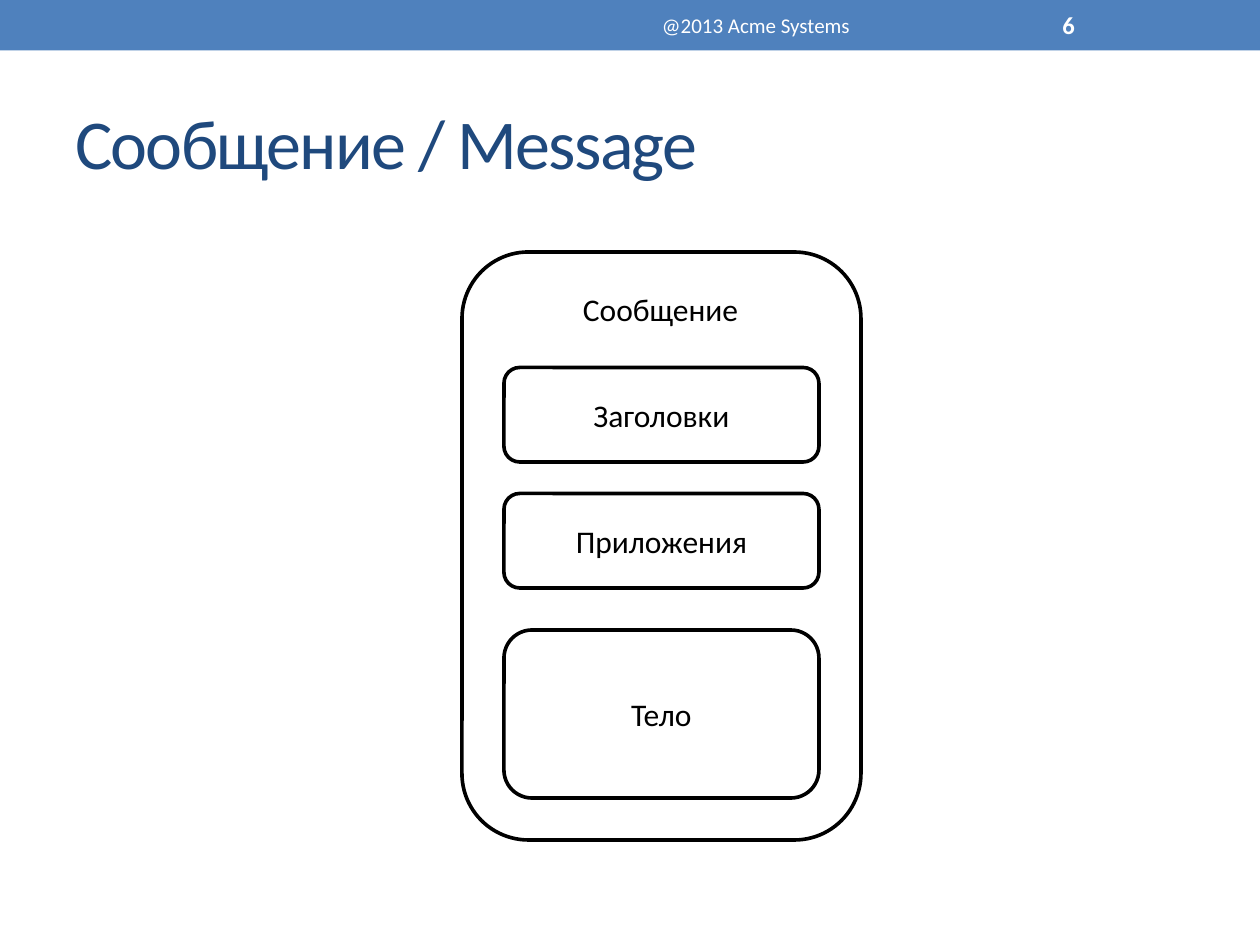
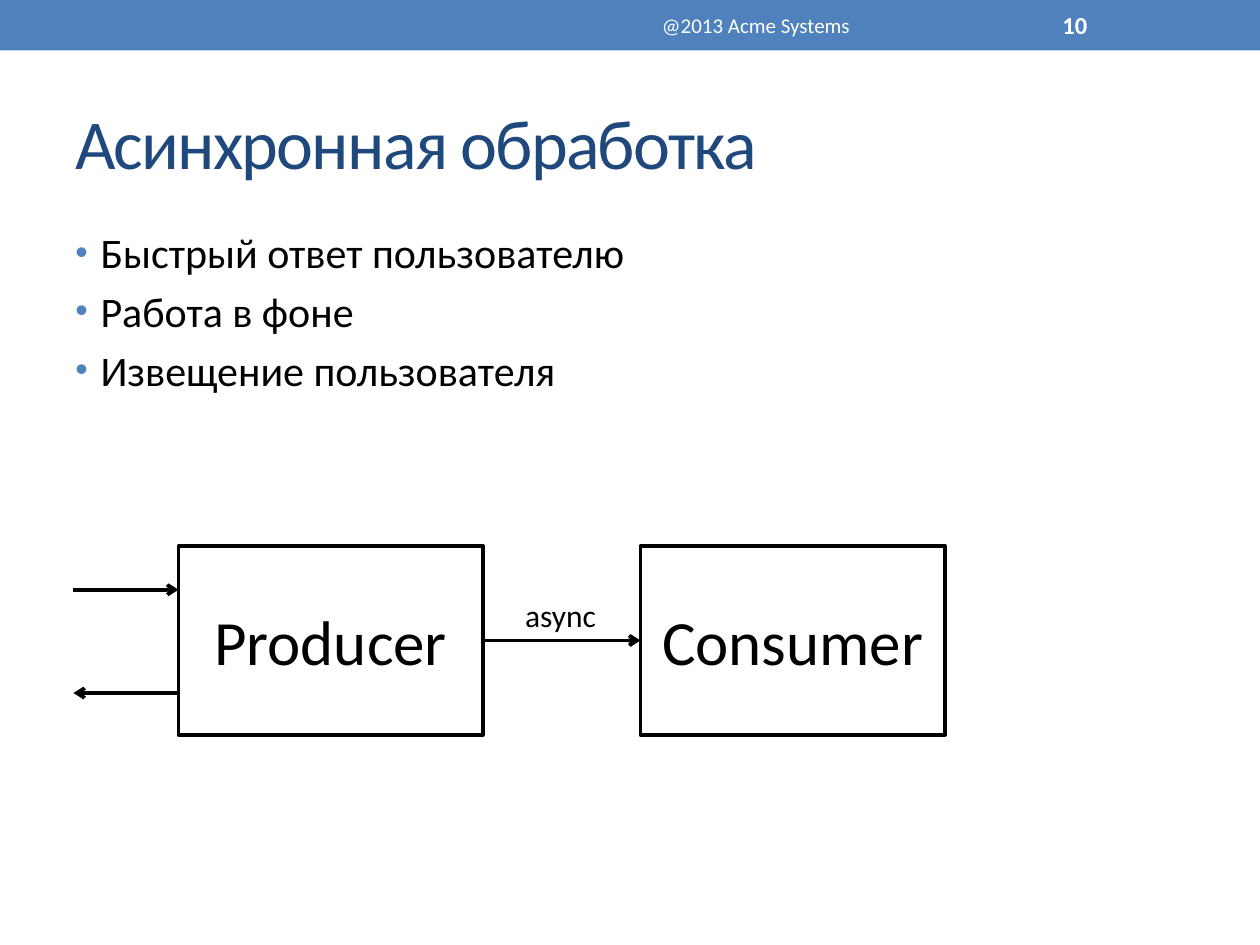
from dataclasses import dataclass

from lxml.etree import SubElement
from pptx import Presentation
from pptx.dml.color import RGBColor
from pptx.enum.shapes import MSO_CONNECTOR, MSO_SHAPE
from pptx.enum.text import MSO_ANCHOR, PP_ALIGN
from pptx.oxml.ns import qn
from pptx.shapes.autoshape import Shape
from pptx.shapes.connector import Connector
from pptx.slide import Slide
from pptx.util import Pt

# Shared style
FONT = "Calibri"
BLUE = RGBColor(0x4F, 0x81, 0xBD)
NAVY = RGBColor(0x1F, 0x49, 0x7D)
BLACK = RGBColor(0, 0, 0)
WHITE = RGBColor(255, 255, 255)
WIDE, HIGH = 720, 540
BAND = 28.8
STROKE = 2.08
FOOTER = "@2013 Acme Systems"


@dataclass(frozen=True)
class Rect:
    left: float
    top: float
    width: float
    height: float

    @property
    def right(self) -> float:
        return self.left + self.width

    @property
    def middle(self) -> float:
        return self.top + self.height / 2

    def lengths(self) -> tuple:
        return Pt(self.left), Pt(self.top), Pt(self.width), Pt(self.height)


@dataclass(frozen=True)
class Box:
    text: str
    area: Rect
    size: float = 18
    kind: MSO_SHAPE = MSO_SHAPE.ROUNDED_RECTANGLE


def write(shape: Shape, *lines: str, size: float = 18, color: RGBColor = BLACK,
          bold: bool = False, align: PP_ALIGN = PP_ALIGN.LEFT,
          anchor: MSO_ANCHOR = MSO_ANCHOR.MIDDLE, wrap: bool = True,
          track: int = 0, bullet: bool = False) -> None:
    """Fill a shape with one paragraph per line."""
    frame = shape.text_frame
    frame.word_wrap = wrap
    frame.vertical_anchor = anchor
    for i, line in enumerate(lines):
        para = frame.add_paragraph() if i else frame.paragraphs[0]
        para.alignment = align
        run = para.add_run()
        run.text = line
        font = run.font
        font.name, font.size, font.bold = FONT, Pt(size), bold
        font.color.rgb = color
        if track:
            run._r.get_or_add_rPr().set("spc", str(track * 100))
        if bullet:
            para.space_before = Pt(size * 0.2)
            add_bullet(para._p.get_or_add_pPr())


def add_bullet(props) -> None:
    indent = Pt(14.4)
    props.set("marL", str(indent))
    props.set("indent", str(-indent))
    tint = SubElement(props, qn("a:buClr"))
    SubElement(tint, qn("a:srgbClr"), val=str(BLUE))
    SubElement(props, qn("a:buSzPct"), val="85000")
    SubElement(props, qn("a:buFont"), typeface="Arial")
    SubElement(props, qn("a:buChar"), char="•")


def add_label(slide: Slide, area: Rect, *lines: str, **style) -> None:
    write(slide.shapes.add_textbox(*area.lengths()), *lines, **style)


def add_box(slide: Slide, box: Box) -> Shape:
    shape = slide.shapes.add_shape(box.kind, *box.area.lengths())
    shape.shadow.inherit = False
    shape.fill.solid()
    shape.fill.fore_color.rgb = WHITE
    shape.line.color.rgb = BLACK
    shape.line.width = Pt(STROKE)
    if box.text:
        write(shape, box.text, size=box.size, align=PP_ALIGN.CENTER)
    return shape


def add_arrow(slide: Slide, start: float, end: float, y: float) -> Connector:
    """Draw a level arrow that points at its end."""
    arrow = slide.shapes.add_connector(
        MSO_CONNECTOR.STRAIGHT, Pt(start), Pt(y), Pt(end), Pt(y))
    arrow.line.color.rgb = BLACK
    arrow.line.width = Pt(STROKE)
    SubElement(arrow.line._get_or_add_ln(), qn("a:tailEnd"), type="arrow")
    SubElement(arrow._element.spPr, qn("a:effectLst"))
    return arrow


def add_page(deck, title: str, number: int) -> Slide:
    """Add a slide with its band, title, footer and number."""
    slide = deck.slides.add_slide(deck.slide_layouts[6])
    band = slide.shapes.add_shape(
        MSO_SHAPE.RECTANGLE, *Rect(0, 0, WIDE, BAND).lengths())
    band.shadow.inherit = False
    band.fill.solid()
    band.fill.fore_color.rgb = BLUE
    band.line.fill.background()
    add_label(slide, Rect(36, 42, 648, 78), title, size=40, color=NAVY, track=-1)
    add_label(slide, Rect(270, 1.4, 324, 26), FOOTER, size=12, color=WHITE,
              align=PP_ALIGN.CENTER)
    add_label(slide, Rect(600, 1.4, 84, 26), str(number), size=14, color=WHITE,
              bold=True)
    return slide


def add_message(deck) -> None:
    slide = add_page(deck, "Сообщение / Message", 6)
    outer = Rect(264, 144, 228, 336)
    add_box(slide, Box("", outer))
    add_label(slide, Rect(326, 162, 104.4, 28.8), "Сообщение",
              anchor=MSO_ANCHOR.TOP, wrap=False)
    # Parts of the message: text, top, height
    inset = 24
    parts = (("Заголовки", 210, 54), ("Приложения", 282, 54), ("Тело", 360, 96))
    for text, top, height in parts:
        area = Rect(outer.left + inset, top, outer.width - 2 * inset, height)
        add_box(slide, Box(text, area))


def add_async(deck) -> None:
    slide = add_page(deck, "Асинхронная обработка", 10)
    add_label(slide, Rect(36, 126, 648, 384), "Быстрый ответ пользователю",
              "Работа в фоне", "Извещение пользователя", size=24,
              anchor=MSO_ANCHOR.TOP, bullet=True)
    # Two sides of the exchange
    source = Rect(102, 312, 174, 108)
    target = Rect(366, source.top, source.width, source.height)
    maker, taker = (
        add_box(slide, Box(text, area, 36, MSO_SHAPE.RECTANGLE))
        for text, area in (("Producer", source), ("Consumer", target)))
    link = add_arrow(slide, source.right, target.left, source.middle)
    link.begin_connect(maker, 3)
    link.end_connect(taker, 1)
    add_label(slide, Rect(293, 337, 55.4, 28.8), "async",
              anchor=MSO_ANCHOR.TOP, wrap=False)
    # Request and reply
    edge = 42
    add_arrow(slide, edge, source.left, 337)
    add_arrow(slide, source.left, edge, 396)


def main() -> None:
    deck = Presentation()
    deck.slide_width, deck.slide_height = Pt(WIDE), Pt(HIGH)
    add_message(deck)
    add_async(deck)
    deck.save("out.pptx")


if __name__ == "__main__":
    main()
